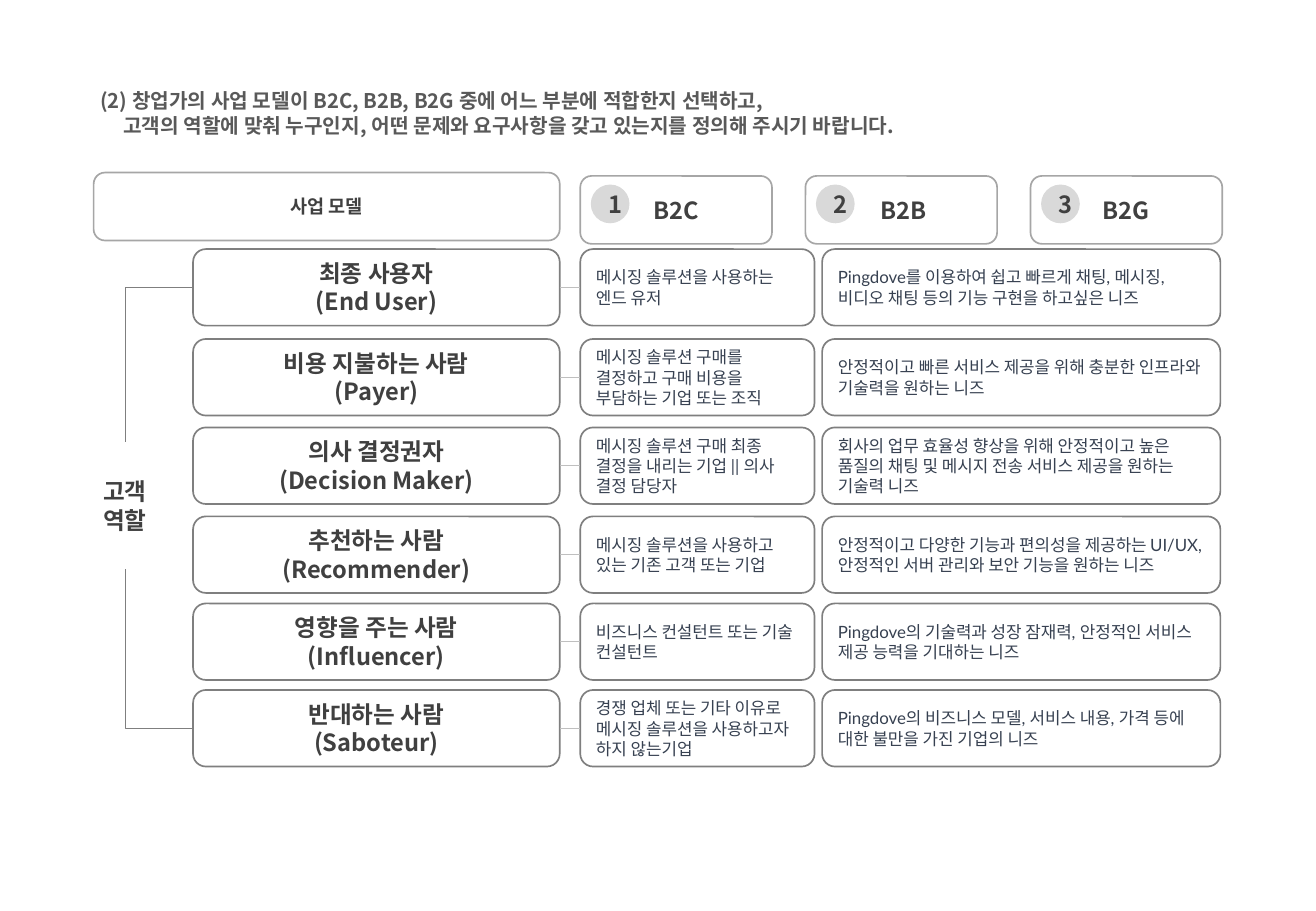
from dataclasses import dataclass

from lxml.etree import SubElement
from pptx import Presentation
from pptx.dml.color import RGBColor
from pptx.enum.shapes import MSO_CONNECTOR as Connector, MSO_SHAPE as Shape
from pptx.enum.text import MSO_ANCHOR as Anchor, PP_ALIGN as Align
from pptx.oxml.ns import qn
from pptx.util import Cm, Pt


@dataclass(frozen=True)
class TextStyle:
    size: float
    color: str
    latin: str = "Noto Sans CJK KR"
    bold: bool = True
    align: Align = Align.CENTER


@dataclass(frozen=True)
class Theme:
    east_asian: str = "Noto Sans CJK KR"
    title: TextStyle = TextStyle(12, "595959", align=Align.LEFT)
    header: TextStyle = TextStyle(11, "404040")
    label: TextStyle = TextStyle(14, "404040")
    body: TextStyle = TextStyle(10, "374151", "Lato", False, Align.LEFT)
    row_line: str = "7F7F7F"
    header_line: str = "A6A6A6"
    link_line: str = "BFBFBF"
    badge_fill: str = "D9D9D9"


class SlideBuilder:
    def __init__(self, slide, theme):
        self.slide = slide
        self.theme = theme

    def fill_text(self, shape, text, style):
        frame = shape.text_frame
        frame.text = text
        frame.word_wrap = True
        frame.vertical_anchor = Anchor.MIDDLE
        for paragraph in frame.paragraphs:
            paragraph.alignment = style.align
            for run in paragraph.runs:
                font = run.font
                font.name, font.size, font.bold = style.latin, Pt(style.size), style.bold
                font.color.rgb = RGBColor.from_string(style.color)
                properties = run._r.get_or_add_rPr()
                SubElement(properties, qn("a:ea"), typeface=self.theme.east_asian)

    def text(self, left, top, width, height, text, style):
        shape = self.slide.shapes.add_textbox(Cm(left), Cm(top), Cm(width), Cm(height))
        self.fill_text(shape, text, style)
        return shape

    def box(self, left, top, width, height, text, style, line):
        shape = self.slide.shapes.add_shape(
            Shape.ROUNDED_RECTANGLE, Cm(left), Cm(top), Cm(width), Cm(height))
        shape.shadow.inherit = False
        shape.fill.background()
        shape.line.color.rgb = RGBColor.from_string(line)
        shape.line.width = Pt(1)
        self.fill_text(shape, text, style)

    def badge(self, left, top, diameter, text):
        shape = self.slide.shapes.add_shape(
            Shape.OVAL, Cm(left), Cm(top), Cm(diameter), Cm(diameter))
        shape.shadow.inherit = False
        shape.fill.solid()
        shape.fill.fore_color.rgb = RGBColor.from_string(self.theme.badge_fill)
        shape.line.fill.background()
        self.fill_text(shape, text, self.theme.label)

    def link(self, start, end, color, kind=Connector.STRAIGHT):
        """Draw a thin line; an elbow runs sideways first and turns once."""
        connector = self.slide.shapes.add_connector(
            kind, *(Cm(value) for value in (*start, *end)))
        connector.line.color.rgb = RGBColor.from_string(color)
        connector.line.width = Pt(0.5)
        properties = connector._element.spPr
        if kind == Connector.ELBOW:
            properties.find(qn("a:prstGeom")).set("prst", "bentConnector2")
        SubElement(properties, qn("a:effectLst"))


TITLE = ("(2) 창업가의 사업 모델이 B2C, B2B, B2G 중에 어느 부분에 적합한지 선택하고,\n"
         "고객의 역할에 맞춰 누구인지, 어떤 문제와 요구사항을 갖고 있는지를 정의해 주시기 바랍니다.")
MODELS = ("B2C", " B2B", "B2G")
# Row top, role, who plays it, what they need
ROWS = (
    (5.21, "최종 사용자\n(End User)", "메시징 솔루션을 사용하는 엔드 유저",
     "Pingdove를 이용하여 쉽고 빠르게 채팅, 메시징, 비디오 채팅 등의 기능 구현을 하고싶은 니즈"),
    (7.09, "비용 지불하는 사람\n(Payer)",
     "메시징 솔루션 구매를 결정하고 구매 비용을 부담하는 기업 또는 조직",
     "안정적이고 빠른 서비스 제공을 위해 충분한 인프라와 기술력을 원하는 니즈"),
    (8.94, "의사 결정권자\n(Decision Maker)",
     "메시징 솔루션 구매 최종 결정을 내리는 기업 || 의사 결정 담당자",
     "회사의 업무 효율성 향상을 위해 안정적이고 높은 품질의 채팅 및 메시지 전송 서비스 제공을 원하는 기술력 니즈"),
    (10.8, "추천하는 사람\n(Recommender)",
     "메시징 솔루션을 사용하고 있는 기존 고객 또는 기업",
     "안정적이고 다양한 기능과 편의성을 제공하는 UI/UX, 안정적인 서버 관리와 보안 기능을 원하는 니즈"),
    (12.62, "영향을 주는 사람\n(Influencer)", "비즈니스 컨설턴트 또는 기술 컨설턴트",
     "Pingdove의 기술력과 성장 잠재력, 안정적인 서비스 제공 능력을 기대하는 니즈"),
    (14.43, "반대하는 사람\n(Saboteur)",
     "경쟁 업체 또는 기타 이유로 메시징 솔루션을 사용하고자 하지 않는기업",
     "Pingdove의 비즈니스 모델, 서비스 내용, 가격 등에 대한 불만을 가진 기업의 니즈"),
)
ROLE_LEFT, ROLE_WIDTH = 4.04, 7.67
PERSON_LEFT, PERSON_WIDTH = 12.14, 4.9
NEED_LEFT, NEED_WIDTH = 17.2, 8.33
ROW_HEIGHT, HEADER_HEIGHT = 1.6, 1.42
MODEL_WIDTH, MODEL_PITCH = 4.01, 4.71
GROUP_TOP, GROUP_HEIGHT, BRACKET_X = 9.25, 2.64, 2.62


def add_headers(builder):
    theme = builder.theme
    title = builder.text(1.85, 1.52, 23.44, 1.68, TITLE, theme.title)
    second_line = title.text_frame.paragraphs[1]
    second_line._p.get_or_add_pPr().set("marL", str(Cm(0.48)))
    builder.box(1.96, 3.61, 9.75, HEADER_HEIGHT, "사업 모델", theme.header, theme.header_line)
    for index, model in enumerate(MODELS):
        left = PERSON_LEFT + index * MODEL_PITCH
        builder.box(left, 3.68, MODEL_WIDTH, HEADER_HEIGHT, model, theme.label,
                    theme.header_line)
        builder.badge(left + 0.22, 3.86, 0.81, str(index + 1))


def add_rows(builder):
    theme = builder.theme
    for top, role, person, need in ROWS:
        cells = ((ROLE_LEFT, ROLE_WIDTH, role, theme.label),
                 (PERSON_LEFT, PERSON_WIDTH, person, theme.body),
                 (NEED_LEFT, NEED_WIDTH, need, theme.body))
        for left, width, text, style in cells:
            builder.box(left, top, width, ROW_HEIGHT, text, style, theme.row_line)
        middle = top + ROW_HEIGHT / 2
        builder.link((ROLE_LEFT + ROLE_WIDTH, middle), (PERSON_LEFT, middle), theme.link_line)


def add_role_group(builder):
    """Label the roles and bracket them from the first row to the last."""
    theme = builder.theme
    builder.text(1.65, GROUP_TOP, 1.93, GROUP_HEIGHT, "고객 역할", theme.label)
    for row, end in ((ROWS[0], GROUP_TOP), (ROWS[-1], GROUP_TOP + GROUP_HEIGHT)):
        builder.link((ROLE_LEFT, row[0] + ROW_HEIGHT / 2), (BRACKET_X, end),
                     theme.row_line, Connector.ELBOW)


def main():
    presentation = Presentation()
    presentation.slide_width, presentation.slide_height = Cm(27.53), Cm(19.05)
    slide = presentation.slides.add_slide(presentation.slide_layouts[6])
    builder = SlideBuilder(slide, Theme())
    add_headers(builder)
    add_rows(builder)
    add_role_group(builder)
    presentation.save("out.pptx")


if __name__ == "__main__":
    main()
